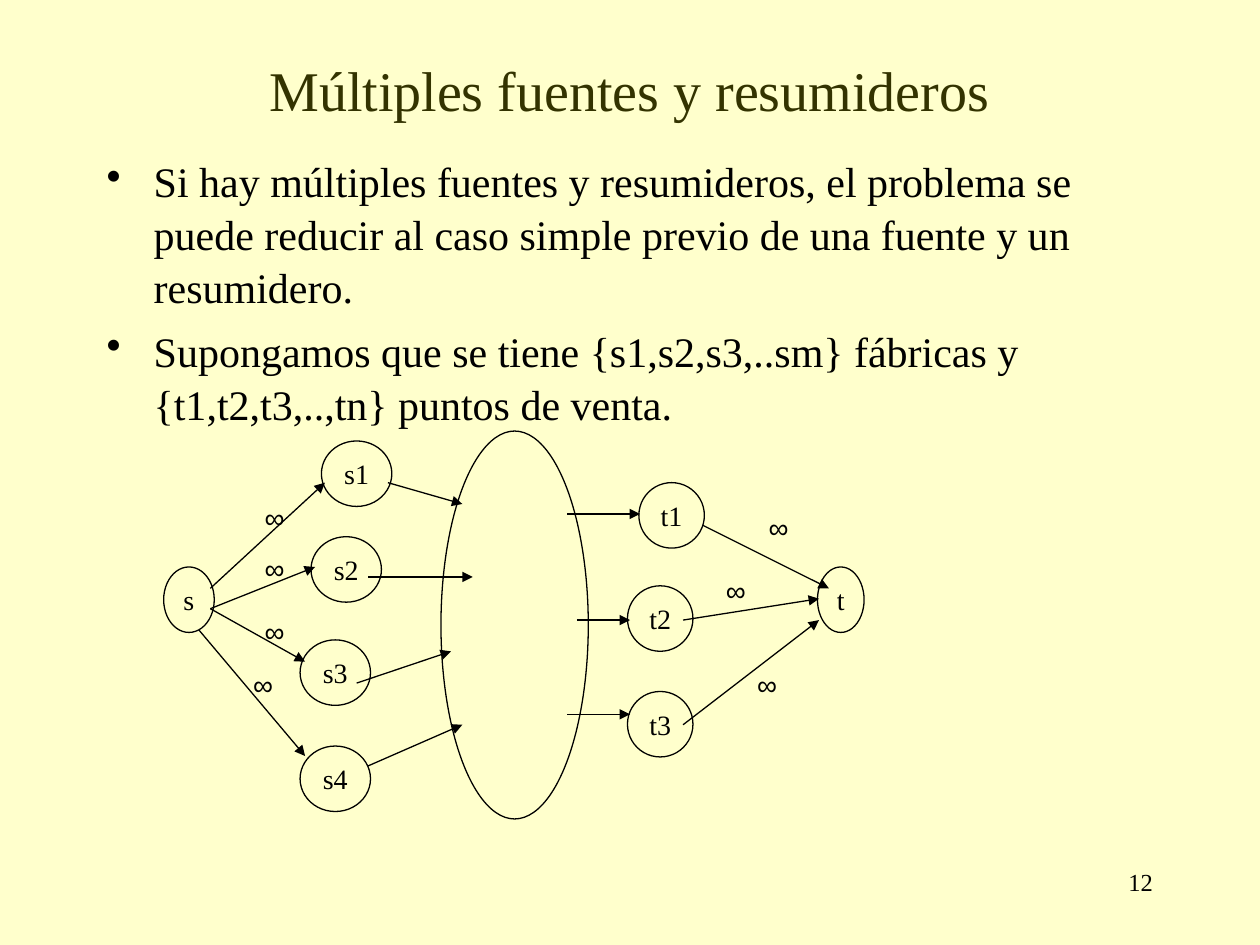
from dataclasses import dataclass

from lxml import etree
from pptx import Presentation
from pptx.dml.color import RGBColor
from pptx.enum.shapes import MSO_CONNECTOR, MSO_SHAPE
from pptx.enum.text import MSO_ANCHOR, PP_ALIGN
from pptx.oxml.ns import qn
from pptx.util import Cm, Pt

OVAL = MSO_SHAPE.OVAL
STRAIGHT = MSO_CONNECTOR.STRAIGHT
TOP, MIDDLE = MSO_ANCHOR.TOP, MSO_ANCHOR.MIDDLE
LEFT, CENTER, RIGHT = PP_ALIGN.LEFT, PP_ALIGN.CENTER, PP_ALIGN.RIGHT


@dataclass(frozen=True)
class Theme:
    background: RGBColor = RGBColor(0xFF, 0xFF, 0xCC)
    title: RGBColor = RGBColor(0x33, 0x33, 0x00)
    ink: RGBColor = RGBColor(0, 0, 0)
    font: str = "Times New Roman"
    symbol_font: str = "Arial"
    title_size: Pt = Pt(32)
    body_size: Pt = Pt(24)
    label_size: Pt = Pt(16)
    number_size: Pt = Pt(14)
    line_width: Pt = Pt(0.75)


THEME = Theme()

BULLETS = [
    "Si hay múltiples fuentes y resumideros, el problema se puede reducir "
    "al caso simple previo de una fuente y un resumidero.",
    "Supongamos que se tiene {s1,s2,s3,..sm} fábricas y "
    "{t1,t2,t3,..,tn} puntos de venta.",
]

# Label, left, top, width, height in centimetres
NODES = [
    ("s", 3.3, 11.43, 1.02, 1.32),
    ("s1", 6.48, 8.89, 1.42, 1.32),
    ("s2", 6.27, 10.82, 1.42, 1.32),
    ("s3", 6.05, 12.9, 1.42, 1.32),
    ("s4", 6.05, 15.04, 1.42, 1.32),
    ("", 8.89, 8.69, 2.97, 7.82),
    ("t1", 12.88, 9.73, 1.32, 1.32),
    ("t2", 12.65, 11.81, 1.32, 1.32),
    ("t3", 12.65, 13.94, 1.32, 1.32),
    ("t", 16.48, 11.43, 0.94, 1.32),
]

# Start x, start y, end x, end y in centimetres
SOURCE_EDGES = [
    (4.24, 11.86, 6.55, 9.73),
    (4.24, 12.27, 6.35, 11.43),
    (4.24, 12.27, 6.15, 13.34),
    (4.01, 12.7, 6.15, 15.24),
]
NETWORK_EDGES = [
    (7.82, 9.73, 9.32, 10.16),
    (7.42, 11.63, 9.53, 11.63),
    (7.19, 13.77, 9.09, 13.13),
    (7.42, 15.44, 9.32, 14.61),
    (11.43, 10.36, 12.9, 10.36),
    (11.63, 12.5, 12.7, 12.5),
    (11.43, 14.4, 12.7, 14.4),
]
SINK_EDGES = [
    (14.17, 10.59, 16.71, 11.86),
    (13.77, 12.5, 16.51, 12.07),
    (13.77, 14.61, 16.51, 12.5),
]

CAPACITY_POSITIONS = [
    (5.08, 9.96), (5.08, 11), (5.08, 12.27), (4.85, 13.34),
    (15.24, 10.16), (14.38, 11.43), (15.01, 13.34),
]


def set_all(target, values):
    for name, value in values.items():
        setattr(target, name, value)


def write(shape, texts, size, align=CENTER, anchor=MIDDLE, wrap=True,
          font=THEME.font, color=THEME.ink):
    """Fill the shape with one paragraph per text and return the paragraphs."""
    frame = shape.text_frame
    frame.text = "\n".join(texts)
    set_all(frame, {"word_wrap": wrap, "vertical_anchor": anchor})
    for paragraph in frame.paragraphs:
        paragraph.alignment = align
        set_all(paragraph.runs[0].font, {"name": font, "size": size})
        paragraph.runs[0].font.color.rgb = color
    return frame.paragraphs


def add_text(slide, box, texts, size, **options):
    shape = slide.shapes.add_textbox(*map(Cm, box))
    return write(shape, texts, size, **options)


def add_bullets(slide, box, texts):
    indent = Cm(0.95)
    for paragraph in add_text(slide, box, texts, THEME.body_size,
                              align=LEFT, anchor=TOP):
        set_all(paragraph, {"space_before": Pt(6), "line_spacing": 1.05})
        properties = paragraph._p.get_or_add_pPr()
        properties.set("marL", str(indent))
        properties.set("indent", str(-indent))
        etree.SubElement(properties, qn("a:buChar"), char="•")


def add_node(slide, label, *box):
    shape = slide.shapes.add_shape(OVAL, *map(Cm, box))
    shape.shadow.inherit = False
    shape.fill.background()
    shape.line.color.rgb = THEME.ink
    shape.line.width = THEME.line_width
    if label:
        write(shape, [label], THEME.label_size, wrap=False)


def add_arrow(slide, *ends):
    connector = slide.shapes.add_connector(STRAIGHT, *map(Cm, ends))
    connector.line.color.rgb = THEME.ink
    connector.line.width = THEME.line_width
    etree.SubElement(connector.line._get_or_add_ln(), qn("a:tailEnd"),
                     type="triangle")
    etree.SubElement(connector._element.spPr, qn("a:effectLst"))


def main():
    presentation = Presentation()
    set_all(presentation, {"slide_width": Cm(25.4), "slide_height": Cm(19.05)})
    slide = presentation.slides.add_slide(presentation.slide_layouts[6])
    slide.background.fill.solid()
    slide.background.fill.fore_color.rgb = THEME.background

    add_text(slide, (1.9, 0.84, 21.59, 1.9),
             ["Múltiples fuentes y resumideros"], THEME.title_size,
             color=THEME.title)
    add_bullets(slide, (1.9, 2.97, 21.59, 6.55), BULLETS)
    for node in NODES:
        add_node(slide, *node)
    for edge in SOURCE_EDGES + NETWORK_EDGES + SINK_EDGES:
        add_arrow(slide, *edge)
    for left, top in CAPACITY_POSITIONS:
        add_text(slide, (left, top, 0.91, 0.94), ["∞"], THEME.label_size,
                 wrap=False, anchor=TOP, font=THEME.symbol_font)
    add_text(slide, (18.21, 17.35, 5.28, 1.27), ["12"], THEME.number_size,
             align=RIGHT, anchor=TOP)
    presentation.save("out.pptx")


if __name__ == "__main__":
    main()
